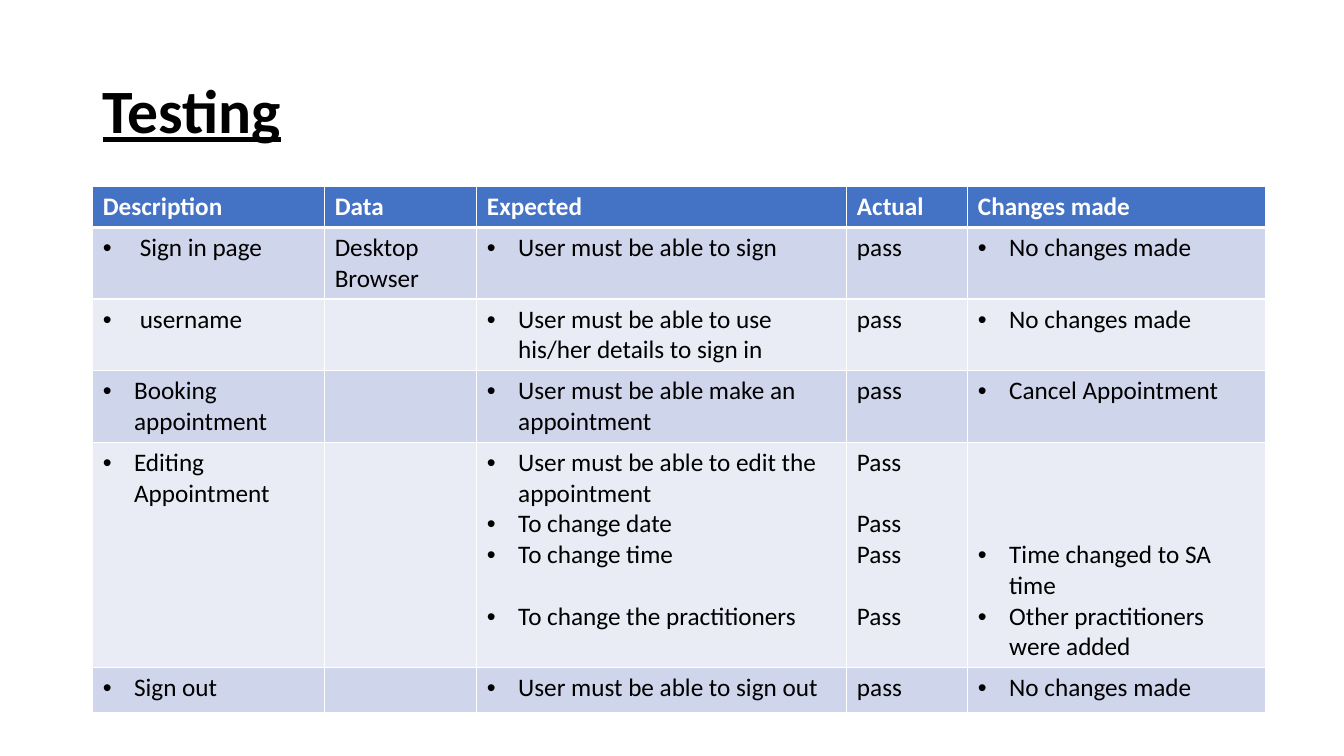
from lxml import etree
from pptx import Presentation
from pptx.dml.color import RGBColor
from pptx.enum.text import MSO_ANCHOR, PP_ALIGN
from pptx.oxml.ns import qn
from pptx.util import Inches, Pt

MIDDLE = MSO_ANCHOR.MIDDLE
LEFT = PP_ALIGN.LEFT
BLACK = RGBColor(0x00, 0x00, 0x00)
WHITE = RGBColor(0xFF, 0xFF, 0xFF)
HEADER_BLUE = RGBColor(0x44, 0x72, 0xC4)
BAND_DARK = RGBColor(0xCF, 0xD5, 0xEA)
BAND_LIGHT = RGBColor(0xE9, 0xEB, 0xF5)

FONT = "Calibri"
TEXT_SIZE = 18
LINE_HEIGHT = Pt(21.97)
CELL_MARGIN = Inches(0.05)
BULLET_INDENT = Inches(0.31)
BULLET_COLUMNS = (0, 2, 4)
COLUMN_WIDTHS = (2.3, 1.51, 3.67, 1.2, 2.95)
ROW_HEIGHTS = (0.37, 0.55, 0.57, 0.57, 1.55, 0.45)

HEADERS = ("Description", "Data", "Expected", "Actual", "Changes made")
TESTS = (
    (" Sign in page", "Desktop Browser", "User must be able to sign", "pass",
     "No changes made"),
    (" username", "", "User must be able to use his/her details to sign in",
     "pass", "No changes made"),
    ("Booking appointment", "", "User must be able make an appointment",
     "pass", "Cancel Appointment"),
    ("Editing Appointment", "",
     ((0, "User must be able to edit the appointment"), (0, "To change date"),
      (0, "To change time"), (1, "To change the practitioners")),
     ((0, "Pass"), (1, "Pass"), (0, "Pass"), (1, "Pass")),
     ((3, "Time changed to SA time"), (0, "Other practitioners were added"))),
    ("Sign out", "", "User must be able to sign out", "pass",
     "No changes made"),
)


def add_run(paragraph, text, size, color, bold=False, underline=False):
    run = paragraph.add_run()
    run.text = text
    run.font.name = FONT
    run.font.size = Pt(size)
    run.font.bold = bold
    run.font.underline = underline
    run.font.color.rgb = color


def add_bullet(paragraph):
    properties = paragraph._p.get_or_add_pPr()
    properties.set("marL", str(BULLET_INDENT))
    properties.set("indent", str(-BULLET_INDENT))
    etree.SubElement(properties, qn("a:buFont")).set("typeface", "Arial")
    etree.SubElement(properties, qn("a:buChar")).set("char", "•")


def set_borders(cell, top, bottom):
    properties = cell._tc.get_or_add_tcPr()
    sides = (("a:lnL", 1), ("a:lnR", 1), ("a:lnT", top), ("a:lnB", bottom))
    for position, (side, width) in enumerate(sides):
        line = etree.Element(qn(side), w=str(Pt(width)))
        fill = etree.SubElement(line, qn("a:solidFill"))
        etree.SubElement(fill, qn("a:srgbClr")).set("val", str(WHITE))
        properties.insert(position, line)


def fill_cell(cell, content, color, bold, bulleted):
    entries = ((0, content),) if isinstance(content, str) else content
    for index, (lines_skipped, text) in enumerate(entries):
        frame = cell.text_frame
        paragraph = frame.add_paragraph() if index else frame.paragraphs[0]
        gap = lines_skipped * LINE_HEIGHT
        if index:
            paragraph.space_before = gap
        else:
            cell.margin_top = CELL_MARGIN + gap
        if bulleted:
            add_bullet(paragraph)
        if text:
            add_run(paragraph, text, TEXT_SIZE, color, bold)
        else:
            paragraph.font.size = Pt(TEXT_SIZE)


def add_title(slide, text):
    title = slide.shapes.title
    title.left, title.top = Inches(0.92), Inches(0.4)
    title.width, title.height = Inches(11.5), Inches(1.45)
    title.text_frame.vertical_anchor = MIDDLE
    paragraph = title.text_frame.paragraphs[0]
    paragraph.alignment = LEFT
    paragraph.line_spacing = 0.9
    add_run(paragraph, text, 44, BLACK, bold=True, underline=True)


def add_test_table(slide):
    rows = (HEADERS,) + TESTS
    table = slide.shapes.add_table(
        len(rows), len(HEADERS), Inches(0.92), Inches(1.85),
        Inches(sum(COLUMN_WIDTHS)), Inches(sum(ROW_HEIGHTS))).table
    for column, width in zip(table.columns, COLUMN_WIDTHS):
        column.width = Inches(width)
    for row, height in zip(table.rows, ROW_HEIGHTS):
        row.height = Inches(height)
    for row_index, contents in enumerate(rows):
        is_header = row_index == 0
        band = BAND_DARK if row_index % 2 else BAND_LIGHT
        for column_index, content in enumerate(contents):
            cell = table.cell(row_index, column_index)
            cell.fill.solid()
            cell.fill.fore_color.rgb = HEADER_BLUE if is_header else band
            set_borders(cell, top=3 if row_index == 1 else 1,
                        bottom=3 if is_header else 1)
            fill_cell(cell, content, WHITE if is_header else BLACK, is_header,
                      not is_header and column_index in BULLET_COLUMNS)


def main():
    presentation = Presentation()
    presentation.slide_width = Inches(13.33)
    presentation.slide_height = Inches(7.5)
    slide = presentation.slides.add_slide(presentation.slide_layouts[5])
    add_title(slide, "Testing")
    add_test_table(slide)
    presentation.save("out.pptx")


if __name__ == "__main__":
    main()
